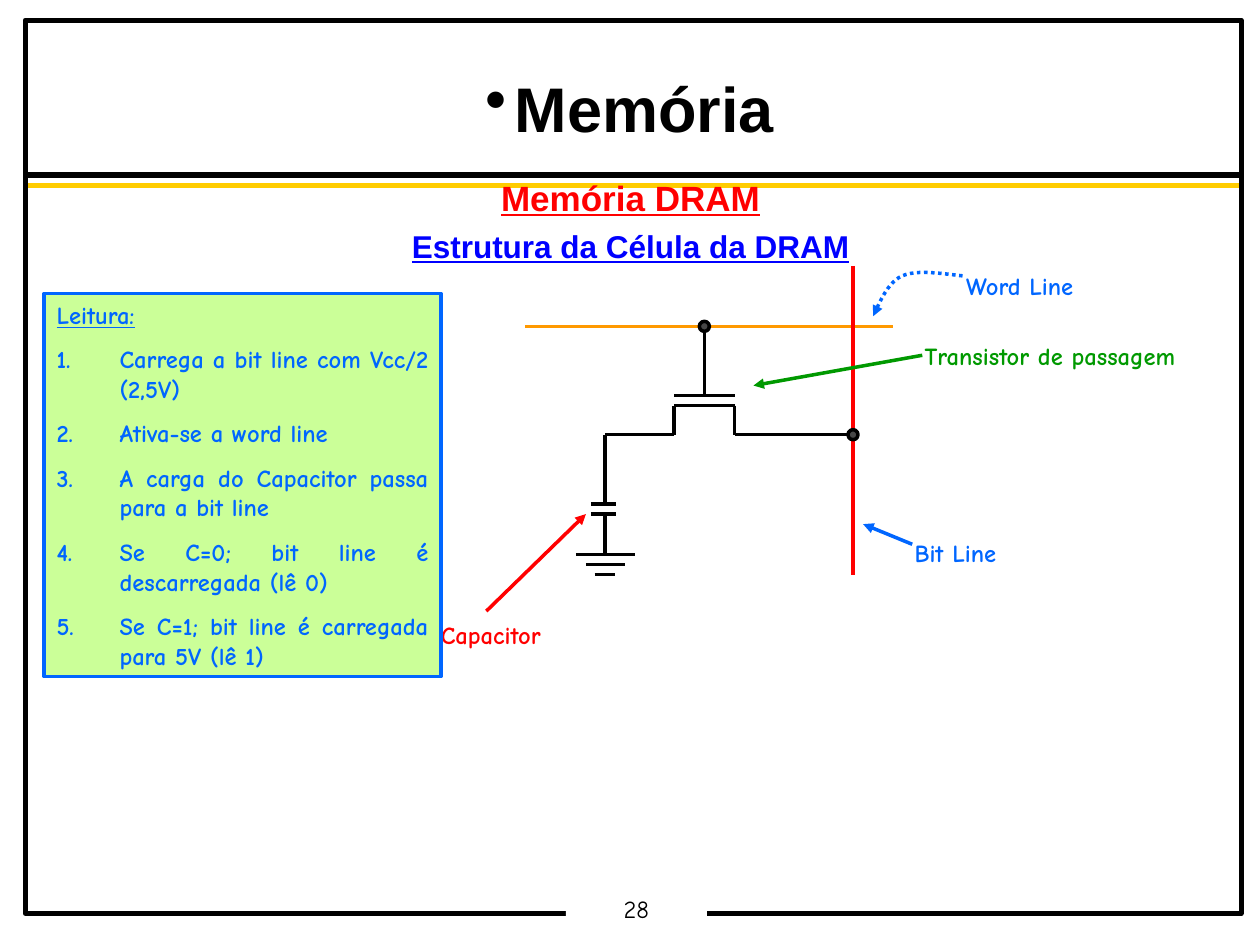
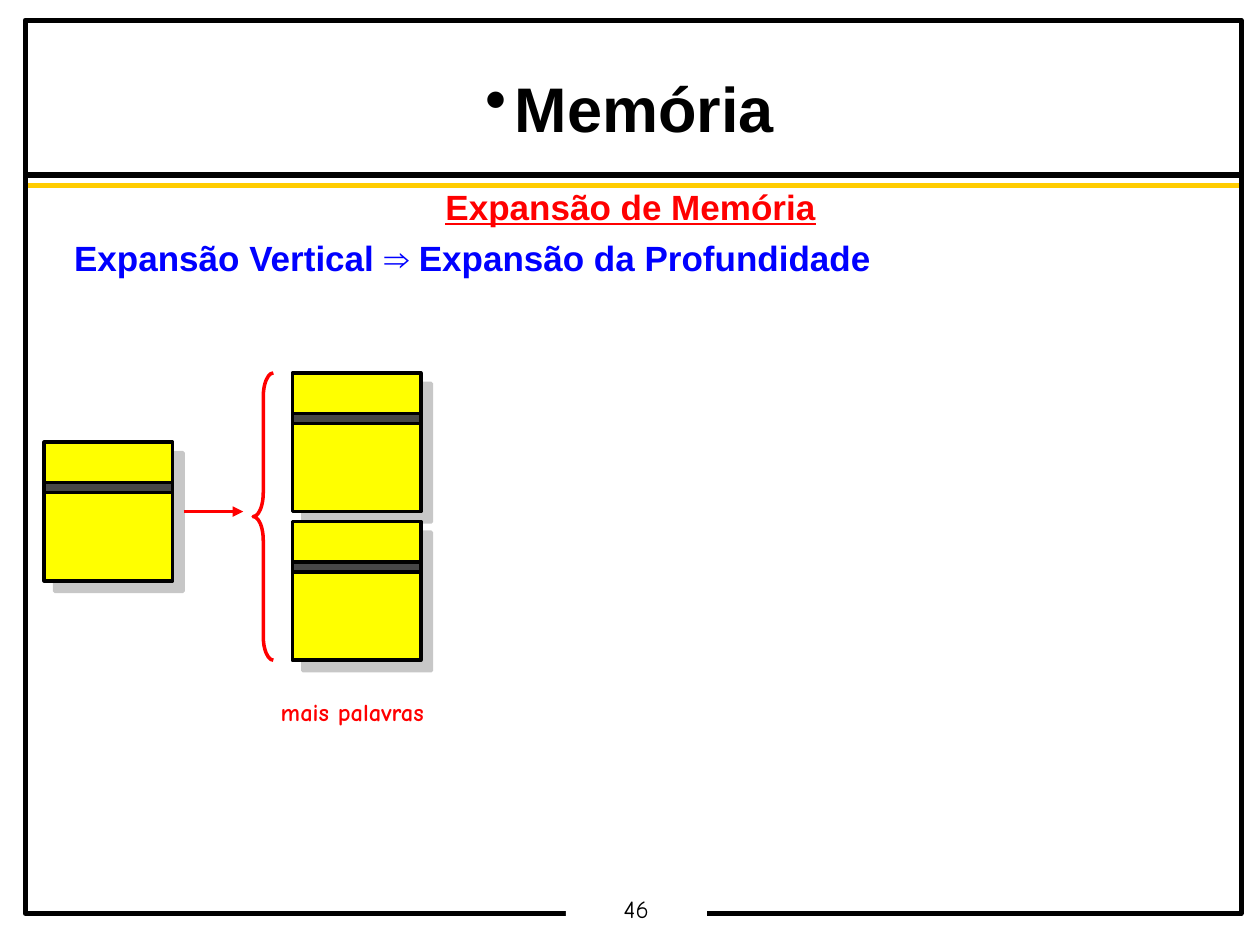
from lxml.etree import SubElement
from pptx import Presentation
from pptx.dml.color import RGBColor
from pptx.enum.dml import MSO_LINE
from pptx.enum.shapes import MSO_CONNECTOR, MSO_SHAPE
from pptx.enum.text import MSO_ANCHOR, PP_ALIGN
from pptx.oxml.ns import qn
from pptx.shapes.connector import Connector
from pptx.util import Inches, Pt

BLACK, RED, BLUE, SKY = "000000", "FF0000", "0000FF", "0066FF"
GREEN, GOLD, ORANGE, GREY = "009900", "FFCC00", "FF9900", "474747"
WHITE, YELLOW, LIME = "FFFFFF", "FFFF00", "99FF33"
LEFT, CENTER, JUST = PP_ALIGN.LEFT, PP_ALIGN.CENTER, PP_ALIGN.JUSTIFY


def paint(shape, color=None, width=2, fill=None, tail=False):
    """Set outline, fill and arrowhead; return the empty effect list."""
    if color:
        shape.line.color.rgb = RGBColor.from_string(color)
        shape.line.width = Pt(width)
    else:
        shape.line.fill.background()
    if fill:
        shape.fill.solid()
        shape.fill.fore_color.rgb = RGBColor.from_string(fill)
    elif not isinstance(shape, Connector):
        shape.fill.background()
    if tail:
        SubElement(shape.line._get_or_add_ln(), qn("a:tailEnd"), type="triangle")
    return SubElement(shape._element.spPr, qn("a:effectLst"))


def write(frame, text, size=14, color=BLACK, font="Comic Neue", bold=True,
          under=False, align=LEFT, ratio=1.0, before=0):
    """Add one paragraph to the frame, using the empty first one if free."""
    para = frame.paragraphs[0]
    if para.runs:
        para = frame.add_paragraph()
        para.space_before = Pt(before)
    frame.vertical_anchor = MSO_ANCHOR.TOP
    para.alignment, para.line_spacing = align, ratio
    run = para.add_run()
    run.text = text
    run.font.name, run.font.size = font, Pt(size)
    run.font.bold, run.font.underline = bold, under
    run.font.color.rgb = RGBColor.from_string(color)
    return para


deck = Presentation()
deck.slide_width, deck.slide_height = Inches(10), Inches(7.5)

# Frame, rules, page number, title and headings of both slides
pages = [
    ("28", 1.39, "Memória DRAM", "Estrutura da Célula da DRAM", 18, CENTER, True),
    ("46", 1.46, "Expansão de Memória",
     "Expansão Vertical ⇒ Expansão da Profundidade", 20, LEFT, False),
]
slides = []
for num, top, head, sub, size, align, under in pages:
    slide = deck.slides.add_slide(deck.slide_layouts[6])
    slides.append(slide)
    for y, color in ((1.39, BLACK), (1.47, GOLD)):
        paint(slide.shapes.add_connector(
            MSO_CONNECTOR.STRAIGHT, Inches(0.2), Inches(y), Inches(9.84), Inches(y)),
            color, 3)
    paint(slide.shapes.add_shape(
        MSO_SHAPE.RECTANGLE, Inches(0.2), Inches(0.16), Inches(9.65), Inches(7.09)),
        BLACK, 2.83)
    plate = slide.shapes.add_shape(
        MSO_SHAPE.RECTANGLE, Inches(4.49), Inches(7.09), Inches(1.12), Inches(0.27))
    paint(plate, fill=WHITE)
    frame = plate.text_frame
    frame.margin_left = frame.margin_right = Inches(0.07)
    frame.margin_top = frame.margin_bottom = Inches(0.03)
    write(frame, num, bold=False, align=CENTER, ratio=0.9)

    body = slide.shapes.add_textbox(
        Inches(0.49), Inches(top), Inches(9.03), Inches(5.13)).text_frame
    body.word_wrap = True
    write(body, head, 20, RED, "Arial", under=True, align=CENTER, ratio=0.9)
    write(body, sub, size, BLUE, "Arial", under=under, align=align, ratio=0.9,
          before=size * 0.375)

    title = slide.shapes.add_textbox(
        Inches(0.2), Inches(0.2), Inches(9.65), Inches(1.18)).text_frame
    title.word_wrap = True
    para = write(title, "Memória", 36, BLACK, "Arial", align=CENTER, ratio=1.5)
    SubElement(para._p.get_or_add_pPr(), qn("a:buChar"), char="•")

cell, growth = slides

# DRAM cell: wires, then arrows from the labels
wires = [
    (4.17, 2.59, 7.09, 2.59, ORANGE), (6.77, 2.11, 6.77, 4.56, RED),
    # transistor
    (5.59, 2.59, 5.59, 3.14, BLACK), (5.83, 3.14, 5.35, 3.14, BLACK),
    (5.83, 3.22, 5.35, 3.22, BLACK), (5.35, 3.22, 5.35, 3.45, BLACK),
    (5.83, 3.22, 5.83, 3.45, BLACK), (5.35, 3.45, 4.8, 3.45, BLACK),
    (6.77, 3.45, 5.83, 3.45, BLACK),
    # capacitor and ground
    (4.8, 3.45, 4.8, 4, BLACK), (4.69, 4, 4.89, 4, BLACK),
    (4.69, 4.08, 4.89, 4.08, BLACK), (4.8, 4.08, 4.8, 4.4, BLACK),
    (4.57, 4.4, 5.04, 4.4, BLACK), (4.65, 4.48, 4.96, 4.48, BLACK),
    (4.72, 4.56, 4.88, 4.56, BLACK),
]
arrows = [
    (7.32, 2.82, 5.98, 3.06, GREEN), (3.86, 4.85, 4.65, 4.08, RED),
    (7.24, 4.32, 6.85, 4.16, SKY),
]
for *ends, color in wires + arrows:
    wire = cell.shapes.add_connector(MSO_CONNECTOR.STRAIGHT, *map(Inches, ends))
    paint(wire, color, tail=(*ends, color) in arrows)

for x, y in ((5.59, 2.59), (6.77, 3.45)):
    paint(cell.shapes.add_shape(
        MSO_SHAPE.OVAL, Inches(x - 0.04), Inches(y - 0.04), Inches(0.08), Inches(0.08)),
        BLACK, fill=GREY)

# Dotted curve to the word line, from two cubic arcs
arcs = [
    ((7.64, 2.19), (7.46, 2.17), (7.28, 2.14), (7.16, 2.19)),
    ((7.16, 2.19), (7.05, 2.24), (6.99, 2.38), (6.93, 2.51)),
]
steps = 12
curve = []
for arc in arcs:
    for i in range(1, steps + 1):
        t = i / steps
        mix = ((1 - t) ** 3, 3 * t * (1 - t) ** 2, 3 * t * t * (1 - t), t ** 3)
        curve.append([Inches(sum(m * p[k] for m, p in zip(mix, arc))) for k in (0, 1)])
pen = cell.shapes.build_freeform(Inches(7.64), Inches(2.19))
pen.add_line_segments(curve, close=False)
hook = pen.convert_to_shape()
hook.line.dash_style = MSO_LINE.ROUND_DOT
paint(hook, SKY, tail=True)

labels = [
    (cell, 7.24, 2.66, 2.2, "Transistor de passagem", GREEN),
    (cell, 3.4, 4.87, 1, "Capacitor", RED),
    (cell, 7.16, 4.22, 0.85, "Bit Line", SKY),
    (cell, 7.57, 2.1, 1.06, "Word Line", SKY),
    (growth, 2.13, 5.48, 1.34, "mais palavras", RED),
]
for slide, x, y, w, text, color in labels:
    box = slide.shapes.add_textbox(Inches(x), Inches(y), Inches(w), Inches(0.34))
    box.text_frame.word_wrap = False
    write(box.text_frame, text, color=color)

# Reading steps
panel = cell.shapes.add_shape(
    MSO_SHAPE.RECTANGLE, Inches(0.35), Inches(2.33), Inches(3.15), Inches(3.04))
paint(panel, SKY, fill=LIME)
tint = panel._element.spPr.find(qn("a:solidFill"))[0]
SubElement(tint, qn("a:alpha"), val="50000")
panel.text_frame.word_wrap = True
write(panel.text_frame, "Leitura:", color=SKY, under=True)
for step in (
    "Carrega a bit line com Vcc/2 (2,5V)",
    "Ativa-se a word line",
    "A carga do Capacitor passa para a bit line",
    "Se C=0; bit line é descarregada (lê 0)",
    "Se C=1; bit line é carregada para 5V (lê 1)",
):
    para = write(panel.text_frame, step, color=SKY, align=JUST, before=8.7)
    props = para._p.get_or_add_pPr()
    props.set("marL", str(Inches(0.5)))
    props.set("indent", str(Inches(-0.5)))
    hue = SubElement(props, qn("a:buClr"))
    SubElement(hue, qn("a:srgbClr"), val=SKY)
    SubElement(props, qn("a:buAutoNum"), type="arabicPeriod")

# Memory chips: one becomes two, stacked
for x, y in ((0.35, 3.51), (2.32, 2.96), (2.32, 4.14)):
    chip = growth.shapes.add_shape(
        MSO_SHAPE.RECTANGLE, Inches(x), Inches(y), Inches(1.02), Inches(1.1))
    glow = paint(chip, BLACK, fill=YELLOW)
    shade = SubElement(glow, qn("a:outerShdw"), blurRad="0", dist=str(Pt(8.5)),
                       dir="2700000", algn="ctr", rotWithShape="0")
    hue = SubElement(shade, qn("a:srgbClr"), val="919191")
    SubElement(hue, qn("a:alpha"), val="50000")
    paint(growth.shapes.add_shape(
        MSO_SHAPE.RECTANGLE, Inches(x), Inches(y + 0.32), Inches(1.02), Inches(0.08)),
        BLACK, fill=GREY)

brace = growth.shapes.add_shape(
    MSO_SHAPE.LEFT_BRACE, Inches(2.01), Inches(2.96), Inches(0.16), Inches(2.28))
brace.adjustments[0] = 1.19
paint(brace, RED)
paint(growth.shapes.add_connector(
    MSO_CONNECTOR.STRAIGHT, Inches(1.46), Inches(4.06), Inches(1.93), Inches(4.06)),
    RED, tail=True)

deck.save("out.pptx")
